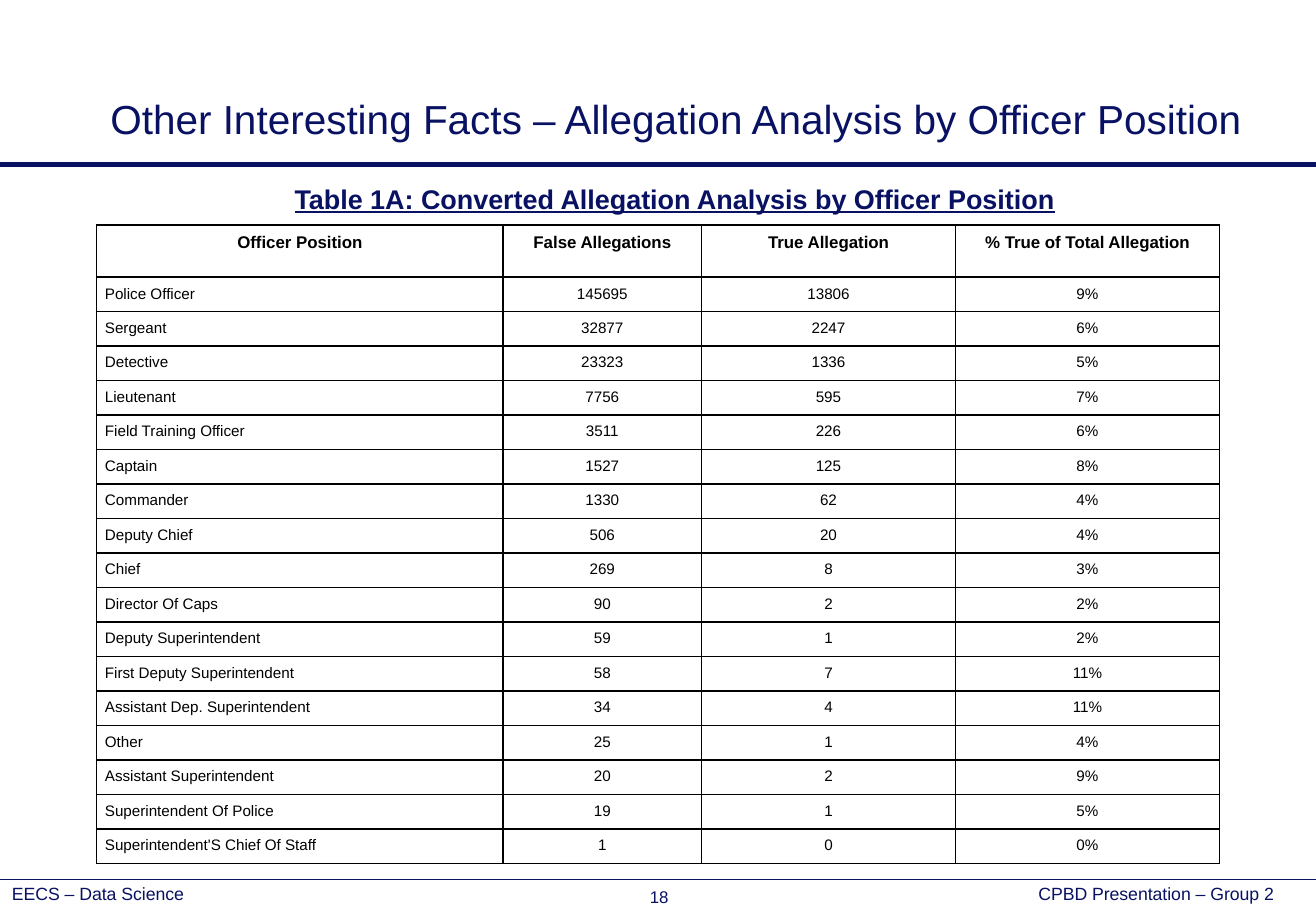
"""Build the slide on allegation analysis by officer position."""
from lxml import etree
from pptx import Presentation
from pptx.dml.color import RGBColor
from pptx.enum.shapes import MSO_CONNECTOR
from pptx.enum.text import MSO_ANCHOR, PP_ALIGN
from pptx.oxml.ns import qn
from pptx.util import Pt

NAVY = RGBColor(0x09, 0x11, 0x63)
BLACK = RGBColor(0, 0, 0)
LEFT, CENTER, RIGHT = PP_ALIGN.LEFT, PP_ALIGN.CENTER, PP_ALIGN.RIGHT
TOP, MIDDLE, BOTTOM = MSO_ANCHOR.TOP, MSO_ANCHOR.MIDDLE, MSO_ANCHOR.BOTTOM
STRAIGHT = MSO_CONNECTOR.STRAIGHT
WIDTH, HEIGHT = 780, 540


def write(tf, text, size, color=NAVY, align=LEFT, bold=False, underline=False, spacing=1.0):
    p = tf.paragraphs[0]
    p.alignment = align
    p.line_spacing = spacing
    r = p.add_run()
    r.text = text
    r.font.name = "Arial"
    r.font.size = Pt(size)
    r.font.color.rgb = color
    r.font.bold = bold
    r.font.underline = underline


prs = Presentation()
prs.slide_width, prs.slide_height = Pt(WIDTH), Pt(HEIGHT)
s = prs.slides.add_slide(prs.slide_layouts[6])

for y, weight in [(521.3, 1), (97.6, 3)]:
    rule = s.shapes.add_connector(STRAIGHT, Pt(0), Pt(y), Pt(WIDTH), Pt(y))
    rule.line.color.rgb = NAVY
    rule.line.width = Pt(weight)
    etree.SubElement(rule._element.spPr, qn("a:effectLst"))

texts = [
    ("Other Interesting Facts – Allegation Analysis by Officer Position",
     (58.3, 3.6, 705, 85), BOTTOM, 3.6, dict(size=24, spacing=0.9)),
    ("Table 1A: Converted Allegation Analysis by Officer Position",
     (58.3, 104.4, 683.3, 26.6), TOP, 3.6,
     dict(size=16, align=CENTER, bold=True, underline=True)),
    ("EECS – Data Science", (0, 522.7, 321, 13.7), MIDDLE, 0, dict(size=10.5)),
    ("18", (365.8, 522.7, 49.7, 17.3), MIDDLE, 0, dict(size=10, align=CENTER)),
    ("CPBD Presentation – Group 2", (441.4, 522.7, 321, 13.7), MIDDLE, 0,
     dict(size=10.5, align=RIGHT)),
]
for text, box, anchor, inset, style in texts:
    tf = s.shapes.add_textbox(*[Pt(v) for v in box]).text_frame
    tf.word_wrap = True
    tf.vertical_anchor = anchor
    tf.margin_top = tf.margin_bottom = Pt(inset)
    write(tf, text, **style)

rows = [
    ("Officer Position", "False Allegations", "True Allegation", "% True of Total Allegation"),
    ("Police Officer", "145695", "13806", "9%"),
    ("Sergeant", "32877", "2247", "6%"),
    ("Detective", "23323", "1336", "5%"),
    ("Lieutenant", "7756", "595", "7%"),
    ("Field Training Officer", "3511", "226", "6%"),
    ("Captain", "1527", "125", "8%"),
    ("Commander", "1330", "62", "4%"),
    ("Deputy Chief", "506", "20", "4%"),
    ("Chief", "269", "8", "3%"),
    ("Director Of Caps", "90", "2", "2%"),
    ("Deputy Superintendent", "59", "1", "2%"),
    ("First Deputy Superintendent", "58", "7", "11%"),
    ("Assistant Dep. Superintendent", "34", "4", "11%"),
    ("Other", "25", "1", "4%"),
    ("Assistant Superintendent", "20", "2", "9%"),
    ("Superintendent Of Police", "19", "1", "5%"),
    ("Superintendent'S Chief Of Staff", "1", "0", "0%"),
]
col_widths = [241, 117.6, 150.6, 156.4]
header_height, row_height = 31, 20.1
table_height = header_height + row_height * (len(rows) - 1)
table = s.shapes.add_table(len(rows), len(col_widths), Pt(57.2), Pt(133.3),
                           Pt(sum(col_widths)), Pt(table_height)).table
table.horz_banding = False
for column, width in zip(table.columns, col_widths):
    column.width = Pt(width)

for i, row in enumerate(rows):
    header = i == 0
    table.rows[i].height = Pt(header_height if header else row_height)
    for j, text in enumerate(row):
        cell = table.cell(i, j)
        cell.margin_left = cell.margin_right = Pt(5)
        cell.margin_top = cell.margin_bottom = Pt(4.8)
        write(cell.text_frame, text, size=10 if header else 9, color=BLACK, bold=header,
              align=CENTER if header or j else LEFT)
        tcPr = cell._tc.get_or_add_tcPr()
        for side in ("a:lnL", "a:lnR", "a:lnT", "a:lnB"):
            ln = etree.SubElement(tcPr, qn(side), w=str(Pt(1)))
            fill = etree.SubElement(ln, qn("a:solidFill"))
            etree.SubElement(fill, qn("a:srgbClr"), val=str(BLACK))
        cell.fill.background()

prs.save("out.pptx")
